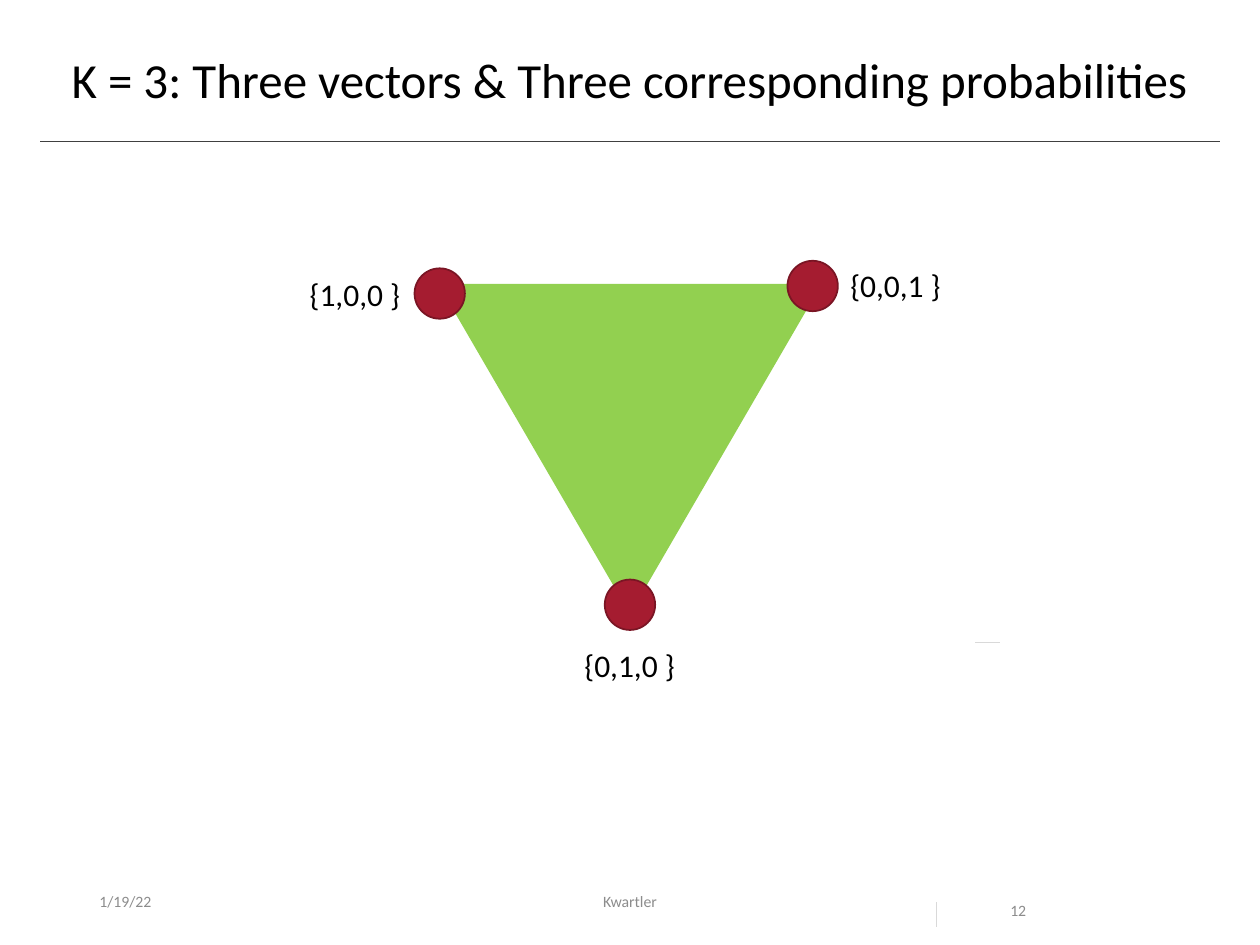
import pptx
import pptx.util
import pptx.dml.color
import pptx.enum.shapes
import pptx.enum.text
import pptx.oxml.ns
import lxml.etree

Inches = pptx.util.Inches
Kind = pptx.enum.shapes.MSO_SHAPE
Align = pptx.enum.text.PP_ALIGN
Anchor = pptx.enum.text.MSO_ANCHOR

COLORS = {
    "ink": "000000",
    "gray": "8C8C8C",
    "rule": "404040",
    "tick": "D9D9D9",
    "green": "92D050",
    "red": "A51C30",
    "edge": "7A1524",
}
TITLE = "K = 3: Three vectors & Three corresponding probabilities"
DOT = 0.4
NODES = [
    ("{1,0,0 }", (3.49, 2.33), (2.36, 2.13)),
    ("{0,1,0 }", (5.0, 4.8), (4.54, 5.08)),
    ("{0,0,1 }", (6.45, 2.27), (6.65, 2.06)),
]
FOOTER = [
    ("1/19/22", 0.69, 2.25, {"anchor": Anchor.MIDDLE}),
    ("Kwartler", 3.31, 3.38, {"anchor": Anchor.MIDDLE, "align": Align.CENTER}),
    ("12", 7.92, 0.94, {"space": 2.0}),
]
LINES = [
    ((0.32, 1.12), (9.68, 1.12), "rule"),
    ((7.43, 7.16), (7.43, 7.36), "tick"),
    ((7.74, 5.1), (7.94, 5.1), "tick"),
]


def color(name):
    return pptx.dml.color.RGBColor.from_string(COLORS[name])


def add_text(slide, text, box, size=18, ink="ink", wrap=False,
             align=Align.LEFT, anchor=Anchor.TOP, space=None):
    frame = slide.shapes.add_textbox(*map(Inches, box)).text_frame
    frame.word_wrap = wrap
    frame.vertical_anchor = anchor
    par = frame.paragraphs[0]
    par.alignment = align
    par.line_spacing = space
    run = par.add_run()
    run.text = text
    run.font.name = "Calibri"
    run.font.size = pptx.util.Pt(size)
    run.font.color.rgb = color(ink)


def add_shape(slide, kind, box, fill, edge, turn=0):
    shape = slide.shapes.add_shape(kind, *map(Inches, box))
    shape.shadow.inherit = False
    shape.rotation = turn
    shape.fill.solid()
    shape.fill.fore_color.rgb = color(fill)
    shape.line.color.rgb = color(edge)
    shape.line.width = pptx.util.Pt(1)


def add_line(slide, start, end, ink):
    line = slide.shapes.add_connector(
        pptx.enum.shapes.MSO_CONNECTOR.STRAIGHT, *map(Inches, start + end))
    line.line.color.rgb = color(ink)
    line.line.width = pptx.util.Pt(0.5)
    props = line._element.spPr
    lxml.etree.SubElement(props, pptx.oxml.ns.qn("a:effectLst"))


def main():
    deck = pptx.Presentation()
    deck.slide_width, deck.slide_height = Inches(10), Inches(7.5)
    slide = deck.slides.add_slide(deck.slide_layouts[6])

    add_text(slide, TITLE, (0.47, 0.4, 9.06, 0.53), size=28, space=0.9)
    for text, left, width, style in FOOTER:
        add_text(slide, text, (left, 6.95, width, 0.4),
                 size=9, ink="gray", wrap=True, **style)
    add_shape(slide, Kind.ISOSCELES_TRIANGLE, (3.49, 2.26, 3.02, 2.6),
              "green", "green", turn=180)
    for text, (mid, level), place in NODES:
        add_text(slide, text, place + (0.93, 0.4))
        add_shape(slide, Kind.OVAL,
                  (mid - DOT / 2, level - DOT / 2, DOT, DOT), "red", "edge")
    for start, end, ink in LINES:
        add_line(slide, start, end, ink)
    deck.save("out.pptx")


if __name__ == "__main__":
    main()
